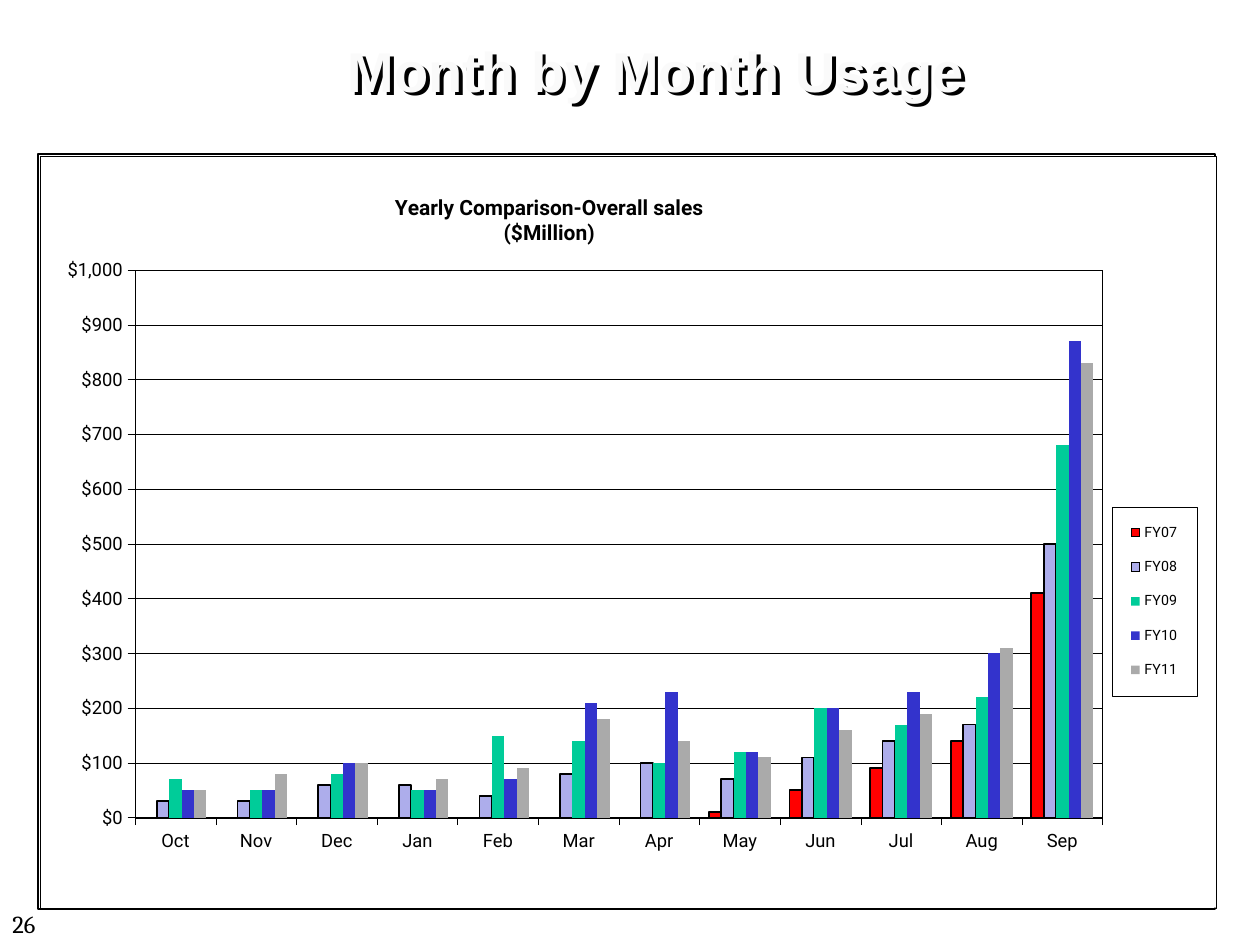
from lxml import etree
from pptx import Presentation
from pptx.chart.data import CategoryChartData
from pptx.dml.color import RGBColor
from pptx.enum.chart import XL_CHART_TYPE as CT, XL_LEGEND_POSITION as LP, XL_TICK_MARK as TM
from pptx.enum.shapes import MSO_SHAPE
from pptx.enum.text import MSO_ANCHOR, PP_ALIGN
from pptx.oxml import parse_xml
from pptx.oxml.ns import nsdecls, qn
from pptx.util import Pt

PX = 914400 / 126


def box(*px):
    """Turn pixel lengths into EMU."""
    return [round(v * PX) for v in px]


def rgb(color):
    return RGBColor.from_string(color)


prs = Presentation()
prs.slide_width, prs.slide_height = box(1260, 945)
s = prs.slides.add_slide(prs.slide_layouts[6])

# Frame behind the chart
frame = s.shapes.add_shape(MSO_SHAPE.RECTANGLE, *box(38, 154, 1177, 755))
frame.shadow.inherit = False
frame.fill.solid()
frame.fill.fore_color.rgb = rgb("FFFFFF")
frame.line.color.rgb = rgb("000000")
frame.line.width = Pt(0.75)

# Page number and title
texts = [
    ("26", (0, 903, 54, 42), "Cambria", 14, "000000", False),
    ("Month by Month Usage ", (0, 0, 1265, 155), "Arial", 32, "FAFAFA", True),
]
for text, place, font, size, color, is_title in texts:
    sp = s.shapes.add_textbox(*box(*place))
    tf = sp.text_frame
    tf.word_wrap = is_title
    p = tf.paragraphs[0]
    r = p.add_run()
    r.text = text
    r.font.name, r.font.size, r.font.bold = font, Pt(size), is_title
    r.font.color.rgb = rgb(color)
    if is_title:
        tf.margin_left, tf.margin_top, tf.margin_right, tf.margin_bottom = box(63, 0, 0, 15)
        tf.vertical_anchor = MSO_ANCHOR.MIDDLE
        p.alignment = PP_ALIGN.CENTER
        p.line_spacing = Pt(38)
        # An unfilled box casts the shadow of its text
        sp._element.spPr.append(parse_xml(
            f'<a:effectLst {nsdecls("a")}><a:outerShdw dist="38100" dir="2700000">'
            '<a:srgbClr val="000000"/></a:outerShdw></a:effectLst>'))

# Monthly sales by fiscal year: name, fill, outlined, values
years = [
    ("FY07", "FF0000", True, [None] * 7 + [10, 50, 90, 140, 410]),
    ("FY08", "ADADEB", True, [30, 30, 60, 60, 40, 80, 100, 70, 110, 140, 170, 500]),
    ("FY09", "00CC99", False, [70, 50, 80, 50, 150, 140, 100, 120, 200, 170, 220, 680]),
    ("FY10", "3333CC", False, [50, 50, 100, 50, 70, 210, 230, 120, 200, 230, 300, 870]),
    ("FY11", "AAAAAA", False, [50, 80, 100, 70, 90, 180, 140, 110, 160, 190, 310, 830]),
]
data = CategoryChartData()
data.categories = "Oct Nov Dec Jan Feb Mar Apr May Jun Jul Aug Sep".split()
for name, _, _, values in years:
    data.add_series(name, values)
CHART_W, CHART_H = 1176, 752
chart = s.shapes.add_chart(CT.COLUMN_CLUSTERED, *box(40, 156, CHART_W, CHART_H), data).chart
chart.font.name, chart.font.size = "Roboto", Pt(8.8)
chart.font.color.rgb = rgb("000000")

plot = chart.plots[0]
plot.gap_width, plot.overlap = 150, 0
plot.vary_by_categories = False
for series, (_, color, outlined, _) in zip(plot.series, years):
    series.format.fill.solid()
    series.format.fill.fore_color.rgb = rgb(color)
    if outlined:
        series.format.line.color.rgb = rgb("000000")
        series.format.line.width = Pt(1)
    else:
        series.format.line.fill.background()

val_axis, cat_axis = chart.value_axis, chart.category_axis
val_axis.minimum_scale, val_axis.maximum_scale, val_axis.major_unit = 0, 1000, 100
val_axis.tick_labels.number_format = "\\$#,##0"
val_axis.tick_labels.number_format_is_linked = False
for axis in (val_axis, cat_axis):
    axis.major_tick_mark = TM.OUTSIDE
    font = axis.tick_labels.font
    font.name, font.size = "Roboto", Pt(10.5)
    font.color.rgb = rgb("000000")
for lined in (val_axis, cat_axis, val_axis.major_gridlines):
    lined.format.line.color.rgb = rgb("000000")
    lined.format.line.width = Pt(0.25)

chart.has_title = True
tf = chart.chart_title.text_frame
for i, line in enumerate(["Yearly Comparison-Overall sales", "($Million)"]):
    p = tf.add_paragraph() if i else tf.paragraphs[0]
    r = p.add_run()
    r.text = line
    r.font.name, r.font.size, r.font.bold = "Roboto", Pt(12), True
    r.font.color.rgb = rgb("000000")

chart.has_legend = True
legend = chart.legend
legend.position = LP.RIGHT
legend.include_in_layout = False
legend.font.name, legend.font.size = "Roboto", Pt(8.1)
legend.font.color.rgb = rgb("000000")

# Fixed places inside the chart in px, stored as shares of its width and height
space = chart._chartSpace
title, area, key = (space.chart.find(qn(f"c:{t}")) for t in ("title", "plotArea", "legend"))
layouts = [
    (title, "c:tx", (351, 33)),
    (area, None, (95, 114, 968, 548)),
    (key, "c:legendPos", (1072, 351, 85, 189)),
]
for owner, before, place in layouts:
    for old in owner.findall(qn("c:layout")):
        owner.remove(old)
    layout = parse_xml(f'<c:layout {nsdecls("c")}><c:manualLayout/></c:layout>')
    if owner is area:
        etree.SubElement(layout[0], qn("c:layoutTarget"), val="inner")
    for axis in "xy":
        etree.SubElement(layout[0], qn(f"c:{axis}Mode"), val="edge")
    for side, px, whole in zip("xywh", place, (CHART_W, CHART_H) * 2):
        etree.SubElement(layout[0], qn(f"c:{side}"), val=str(px / whole))
    if before:
        owner.find(qn(before)).addnext(layout)
    else:
        owner.insert(0, layout)

# White fill and thin border for the plot, the legend and the whole chart
for owner in (area, key, space):
    sp_pr = parse_xml(
        f'<c:spPr {nsdecls("c", "a")}><a:solidFill><a:srgbClr val="FFFFFF"/></a:solidFill>'
        '<a:ln w="3175"><a:solidFill><a:srgbClr val="000000"/></a:solidFill></a:ln></c:spPr>')
    tx_pr = owner.find(qn("c:txPr"))
    if tx_pr is None:
        owner.append(sp_pr)
    else:
        tx_pr.addprevious(sp_pr)

prs.save("out.pptx")
